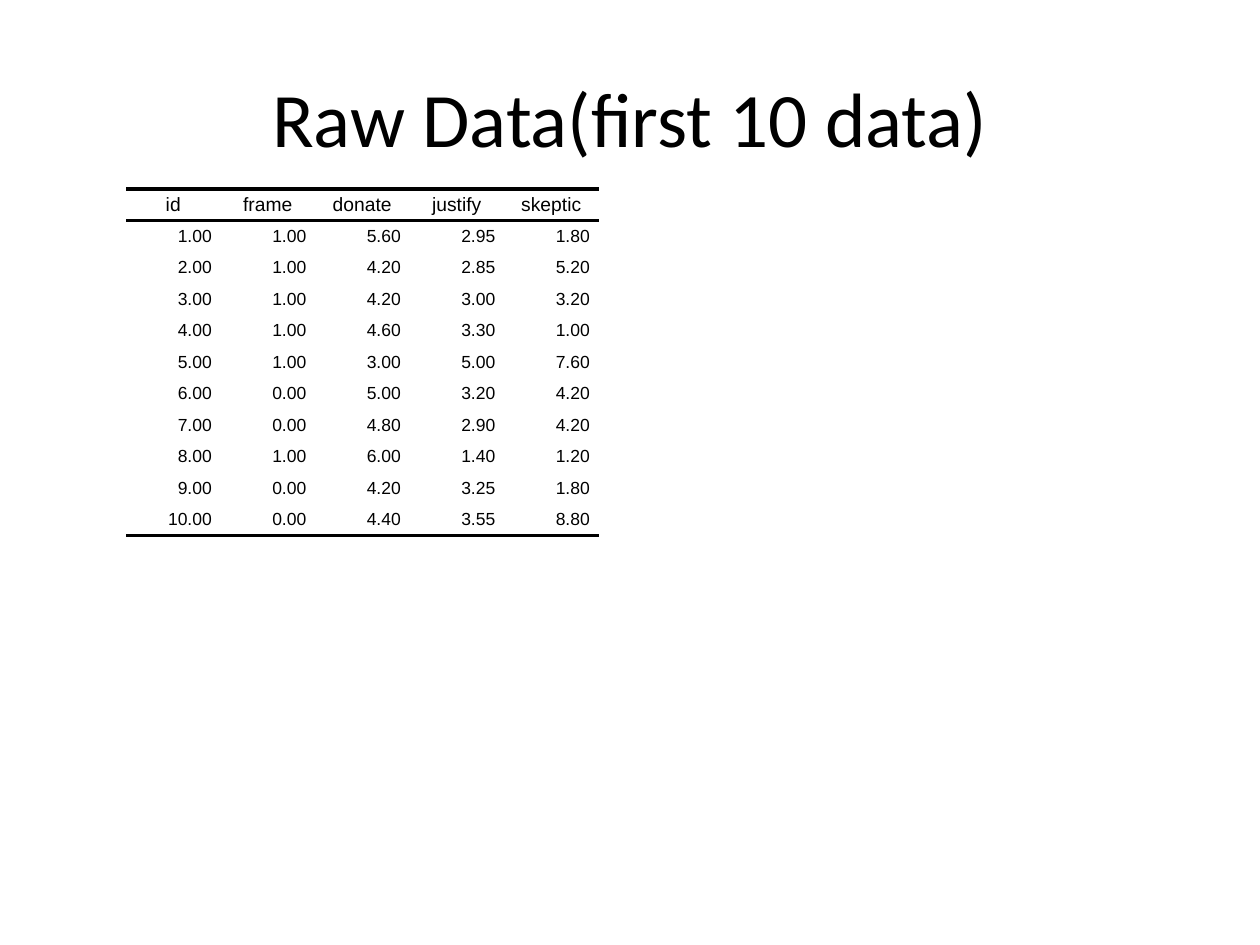
from lxml import etree
from pptx import Presentation
from pptx.dml.color import RGBColor
from pptx.enum.text import MSO_ANCHOR, PP_ALIGN
from pptx.oxml.ns import qn
from pptx.util import Inches, Pt

BLACK = RGBColor(0, 0, 0)
MIDDLE = MSO_ANCHOR.MIDDLE
CENTER, RIGHT = PP_ALIGN.CENTER, PP_ALIGN.RIGHT

HEADS = ["id", "frame", "donate", "justify", "skeptic"]
DATA = [
    (1, 1, 5.6, 2.95, 1.8),
    (2, 1, 4.2, 2.85, 5.2),
    (3, 1, 4.2, 3, 3.2),
    (4, 1, 4.6, 3.3, 1),
    (5, 1, 3, 5, 7.6),
    (6, 0, 5, 3.2, 4.2),
    (7, 0, 4.8, 2.9, 4.2),
    (8, 1, 6, 1.4, 1.2),
    (9, 0, 4.2, 3.25, 1.8),
    (10, 0, 4.4, 3.55, 8.8),
]


def add_run(par, text, size, font):
    run = par.add_run()
    run.text = text
    run.font.size = Pt(size)
    run.font.name = font
    run.font.color.rgb = BLACK


def set_borders(cell, sides):
    """Draw black 2 pt lines on the given sides and none on the others."""
    props = cell._tc.get_or_add_tcPr()
    for side in "LRTB":
        line = etree.SubElement(props, qn(f"a:ln{side}"))
        if side in sides:
            line.set("w", str(Pt(2)))
            fill = etree.SubElement(line, qn("a:solidFill"))
            etree.SubElement(fill, qn("a:srgbClr"), val=str(BLACK))
        else:
            etree.SubElement(line, qn("a:noFill"))


prs = Presentation()
prs.slide_width, prs.slide_height = Inches(10), Inches(7.5)
slide = prs.slides.add_slide(prs.slide_layouts[6])

# Title
box = slide.shapes.add_textbox(Inches(0.5), Inches(0.3), Inches(9), Inches(1.25))
frame = box.text_frame
frame.word_wrap = True
frame.vertical_anchor = MIDDLE
title = frame.paragraphs[0]
title.alignment = CENTER
add_run(title, "Raw Data(first 10 data)", 44, "Calibri")

# Data table
rows = [HEADS] + [[f"{num:.2f}" for num in row] for row in DATA]
last = len(rows) - 1
table = slide.shapes.add_table(
    len(rows), len(HEADS), Inches(1), Inches(1.5),
    Inches(0.75 * len(HEADS)), Inches(0.25 * len(rows))).table
table.first_row = table.horz_banding = False

# Rules above and below the header, and under the last row
rules = {0: "TB", 1: "T", last: "B"}
for r, row in enumerate(rows):
    table.rows[r].height = Inches(0.25)
    for c, text in enumerate(row):
        cell = table.cell(r, c)
        cell.margin_left = cell.margin_right = 0
        cell.margin_top = cell.margin_bottom = 0
        cell.vertical_anchor = MIDDLE
        set_borders(cell, rules.get(r, ""))
        cell.fill.background()
        par = cell.text_frame.paragraphs[0]
        par.alignment = RIGHT if r else CENTER
        par.space_before = par.space_after = Pt(2)
        for key in ("marL", "marR"):
            par._p.get_or_add_pPr().set(key, str(Inches(0.07)))
        add_run(par, text, 10 if r else 11, "Arial")

prs.save("out.pptx")
